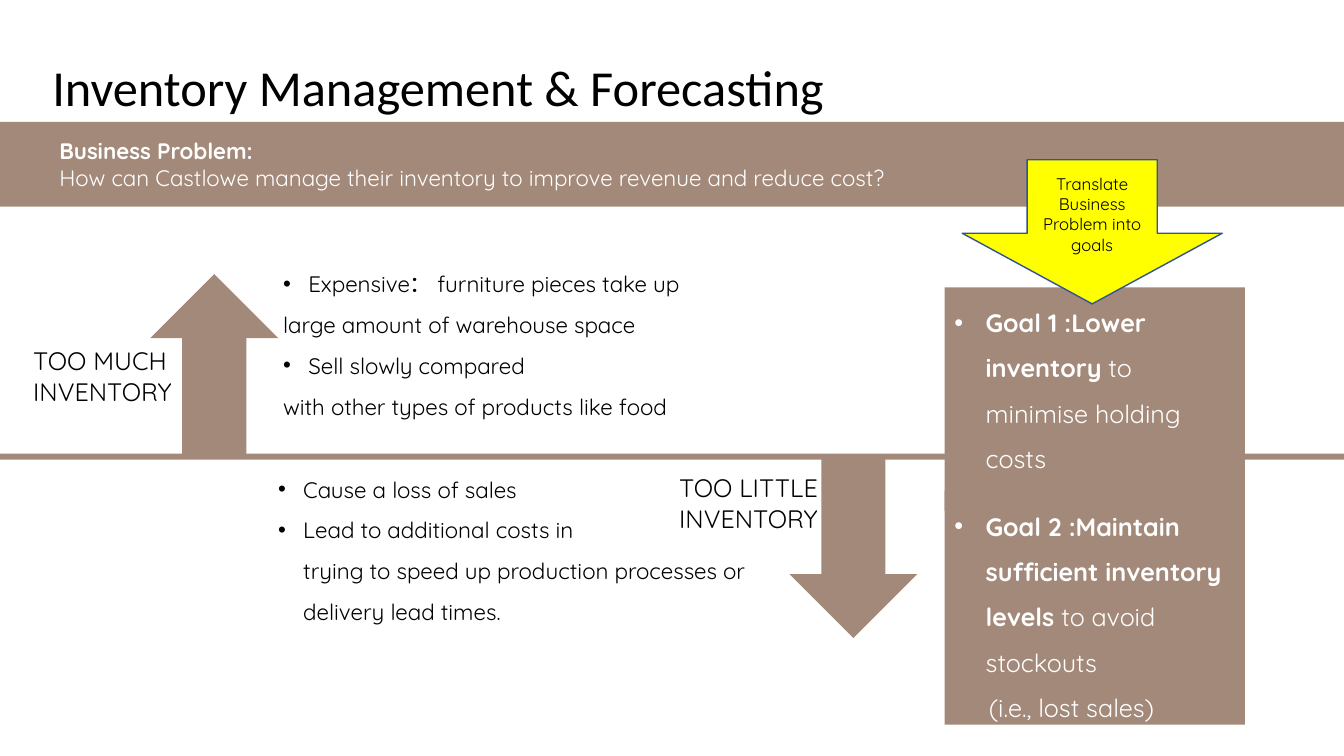
import pptx
import pptx.util
import pptx.dml.color
import pptx.enum.shapes
import pptx.enum.text
import pptx.oxml.xmlchemy
from lxml import etree

SHAPE = pptx.enum.shapes.MSO_SHAPE
ALIGN = pptx.enum.text.PP_ALIGN
ANCHOR = pptx.enum.text.MSO_ANCHOR
WIDTH, HEIGHT = pptx.util.Inches(13.333), pptx.util.Inches(7.5)
COLORS = {"taupe": "A3897A", "yellow": "FFFF00", "outline": "325491",
          "black": "000000", "white": "FFFFFF"}
A_NS = "http://schemas.openxmlformats.org/drawingml/2006/main"


def rgb(name):
    return pptx.dml.color.RGBColor.from_string(COLORS[name])


def grid(left, top, width, height):
    """Turn columns and rows of a 100 x 100 grid into slide lengths."""
    return (int(WIDTH * left / 100), int(HEIGHT * top / 100),
            int(WIDTH * width / 100), int(HEIGHT * height / 100))


def set_indent(p, left, bullet):
    """Indent in inches; a bullet hangs in the indent."""
    pPr = p._p.get_or_add_pPr()
    margin = pptx.util.Inches(left)
    pPr.set("marL", str(margin))
    pPr.set("indent", str(-margin if bullet else 0))
    if bullet:
        font = etree.SubElement(pPr, f"{{{A_NS}}}buFont")
        font.set("typeface", "Arial")
        etree.SubElement(pPr, f"{{{A_NS}}}buChar").set("char", "•")


def write(s, paragraphs, size, color="black", font="Quicksand",
          anchor=ANCHOR.TOP, **paragraph_format):
    """Each paragraph is (indent, has bullet, [(text, bold), ...])."""
    tf = s.text_frame
    tf.word_wrap = True
    tf.vertical_anchor = anchor
    for i, (indent, bullet, runs) in enumerate(paragraphs):
        p = tf.paragraphs[0] if i == 0 else tf.add_paragraph()
        values = {"alignment": ALIGN.LEFT, **paragraph_format}
        if i == 0:
            values.pop("space_before", None)
        for name, value in values.items():
            setattr(p, name, value)
        set_indent(p, indent, bullet)
        for text, bold in runs:
            r = p.add_run()
            r.text = text
            for name, value in {"name": font, "size": pptx.util.Pt(size), "bold": bold}.items():
                setattr(r.font, name, value)
            r.font.color.rgb = rgb(color)


def add_text(slide, cell, paragraphs, size, **options):
    write(slide.shapes.add_textbox(*grid(*cell)), paragraphs, size, **options)


def add_block(slide, kind, cell, fill="taupe", line=None):
    s = slide.shapes.add_shape(kind, *grid(*cell))
    s.shadow.inherit = False
    s.fill.solid()
    s.fill.fore_color.rgb = rgb(fill)
    if line:
        s.line.color.rgb = rgb(line)
        s.line.width = pptx.util.Pt(1)
    else:
        s.line.fill.background()
    return s


def plain(text, indent=0, bullet=False):
    return indent, bullet, [(text, False)]


def add_points(slide, cell, paragraphs):
    add_text(slide, cell, paragraphs, 16, space_before=pptx.util.Pt(10))


def add_goal(slide, top, height, paragraphs):
    s = add_block(slide, SHAPE.RECTANGLE, (70.28, top, 22.35, height))
    write(s, paragraphs, 18, color="white", line_spacing=1.5)


def main():
    prs = pptx.Presentation()
    prs.slide_width, prs.slide_height = WIDTH, HEIGHT
    slide = prs.slides.add_slide(prs.slide_layouts[6])

    # Title
    add_text(slide, (3.15, 4, 86.25, 15.87), [plain("Inventory Management & Forecasting")],
             36, font="Calibri", anchor=ANCHOR.MIDDLE, line_spacing=0.9)

    # Effects of too little and too much inventory
    add_points(slide, (19.95, 62.27, 52.35, 16.27), [
        plain("Cause a loss of sales", 0.25, True),
        plain("Lead to additional costs in", 0.25, True),
        plain("trying to speed up production processes or", 0.25),
        plain("delivery lead times.", 0.25)])
    add_points(slide, (20.33, 35.07, 32.63, 23.6), [
        plain("Expensive： furniture pieces take up", 0.25, True),
        plain("large amount of warehouse space"),
        plain("Sell slowly compared", 0.25, True),
        plain("with other types of products like food")])

    # Arrows, their labels and the dividing line
    add_block(slide, SHAPE.DOWN_ARROW, (58.73, 60.53, 9.53, 23.87))
    add_text(slide, (1.73, 45.07, 15.98, 13.47), [plain("TOO MUCH INVENTORY")], 18)
    add_text(slide, (49.8, 61.87, 12.75, 13.47),
             [plain("TOO LITTLE"), plain("INVENTORY")], 18)
    add_block(slide, SHAPE.UP_ARROW, (11.18, 36.27, 9.53, 23.87))
    add_block(slide, SHAPE.RECTANGLE, (0, 60, 100, 0.8))

    # Business problem band
    band = add_block(slide, SHAPE.RECTANGLE, (0, 16.13, 100, 11.2))
    write(band, [(0.49, False, [("Business Problem:", True)]),
                 plain("How can Castlowe manage their inventory to improve revenue "
                       "and reduce cost?", 0.49)],
          16, color="white", anchor=ANCHOR.MIDDLE)

    # Goals
    add_goal(slide, 38, 29.6, [
        (0.31, True, [("Goal 1 :Lower inventory", True),
                      (" to minimise holding costs", False)])])
    add_goal(slide, 64.93, 30.93, [
        (0.31, True, [("Goal 2 :Maintain sufficient inventory levels ", True),
                      ("to avoid stockouts", False)]),
        plain("(i.e., lost sales)", 0.34)])

    # Arrow from problem to goals
    arrow = add_block(slide, SHAPE.DOWN_ARROW, (71.59, 21.13, 19.35, 19.07),
                      "yellow", "outline")
    arrow.adjustments[1] = 0.49
    write(arrow, [plain("Translate Business Problem into goals")], 12,
          anchor=ANCHOR.MIDDLE, alignment=ALIGN.CENTER)

    prs.save("out.pptx")


if __name__ == "__main__":
    main()
